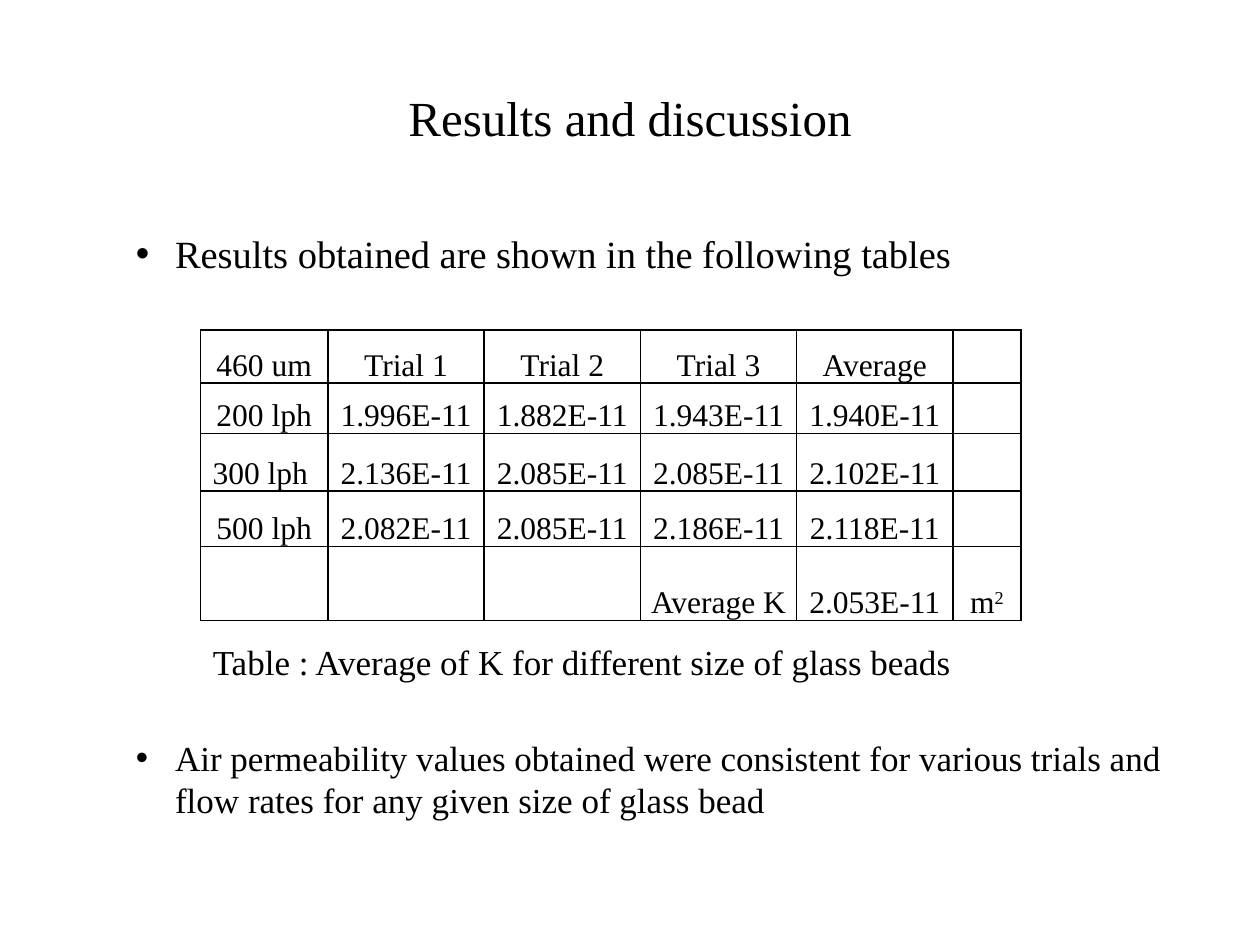
"""Build the results slide with the air permeability table."""
import lxml.etree
import pptx
import pptx.dml.color
import pptx.enum.text
import pptx.oxml.ns
import pptx.util
from pptx.util import Cm

BLACK = pptx.dml.color.RGBColor(0, 0, 0)
ALIGN = pptx.enum.text.PP_ALIGN
ANCHOR = pptx.enum.text.MSO_ANCHOR
TITLE_ONLY = 5
COLUMN_WIDTHS = [2.57] + [3.15] * 4 + [1.37]
ROW_HEIGHTS = [1.07, 1.02, 1.16, 1.12, 1.49]
PERMEABILITY = [
    ["460 um", "Trial 1", "Trial 2", "Trial 3", "Average", ""],
    ["200 lph", "1.996E-11", "1.882E-11", "1.943E-11", "1.940E-11", ""],
    ["300 lph ", "2.136E-11", "2.085E-11", "2.085E-11", "2.102E-11", ""],
    ["500 lph", "2.082E-11", "2.085E-11", "2.186E-11", "2.118E-11", ""],
    ["", "", "", "Average K", "2.053E-11", "m"],
]
CELL_FORMAT = {
    "vertical_anchor": ANCHOR.BOTTOM,
    "margin_left": Cm(0.03),
    "margin_right": Cm(0.03),
    "margin_top": Cm(0.03),
    "margin_bottom": 0,
}


def apply(target, values):
    for name, value in values.items():
        setattr(target, name, value)


def add_xml(parent, tag, **attributes):
    child = lxml.etree.SubElement(parent, pptx.oxml.ns.qn(tag))
    for name, value in attributes.items():
        child.set(name, str(value))
    return child


class SlideBuilder:
    def __init__(self, slide, font="Times New Roman", color=BLACK):
        self.slide = slide
        self.font = font
        self.color = color

    def add_wording(self, paragraph, wording, size, align=ALIGN.LEFT):
        paragraph.alignment = align
        run = paragraph.add_run()
        run.text = wording
        apply(run.font, {"name": self.font, "size": pptx.util.Pt(size)})
        run.font.color.rgb = self.color
        return run

    def title(self, wording, left, top, width, height):
        heading = self.slide.shapes.title
        apply(heading, {"left": Cm(left), "top": Cm(top),
                        "width": Cm(width), "height": Cm(height)})
        heading.text_frame.vertical_anchor = ANCHOR.MIDDLE
        self.add_wording(heading.text_frame.paragraphs[0], wording, 28, ALIGN.CENTER)

    def text(self, wording, left, top, width, height, size):
        box = self.slide.shapes.add_textbox(Cm(left), Cm(top), Cm(width), Cm(height))
        box.text_frame.word_wrap = True
        paragraph = box.text_frame.paragraphs[0]
        self.add_wording(paragraph, wording, size)
        return paragraph

    def bullet(self, *args):
        properties = self.text(*args)._p.get_or_add_pPr()
        properties.set("marL", str(Cm(0.79)))
        properties.set("indent", str(-Cm(0.79)))
        add_xml(properties, "a:buFont", typeface="Arial")
        add_xml(properties, "a:buChar", char="•")

    def borders(self, cell):
        properties = cell._tc.get_or_add_tcPr()
        for side in ("a:lnL", "a:lnR", "a:lnT", "a:lnB"):
            line = add_xml(properties, side, w=pptx.util.Pt(1))
            add_xml(add_xml(line, "a:solidFill"), "a:srgbClr", val=self.color)

    def table(self, rows, left, top, widths, heights, size):
        grid = self.slide.shapes.add_table(
            len(rows), len(widths), Cm(left), Cm(top), Cm(sum(widths)), Cm(sum(heights))
        ).table
        apply(grid, {"first_row": False, "horz_banding": False})
        for column, width in zip(grid.columns, widths):
            column.width = Cm(width)
        for row, height, wordings in zip(grid.rows, heights, rows):
            row.height = Cm(height)
            for cell, wording in zip(row.cells, wordings):
                apply(cell, CELL_FORMAT)
                self.borders(cell)
                cell.fill.background()
                if wording:
                    self.add_wording(cell.text_frame.paragraphs[0], wording, size, ALIGN.CENTER)
        return grid

    def superscript(self, cell, wording, size):
        run = self.add_wording(cell.text_frame.paragraphs[0], wording, size, ALIGN.CENTER)
        run._r.get_or_add_rPr().set("baseline", "30000")


def main():
    deck = pptx.Presentation()
    apply(deck, {"slide_width": Cm(25.4), "slide_height": Cm(19.05)})
    builder = SlideBuilder(deck.slides.add_slide(deck.slide_layouts[TITLE_ONLY]))
    builder.title("Results and discussion", 1.27, 0.76, 22.86, 3.18)
    results = builder.table(PERMEABILITY, 4.04, 6.65, COLUMN_WIDTHS, ROW_HEIGHTS, 18)
    builder.superscript(results.cell(4, 5), "2", 18)
    builder.text("Table : Average of K for different size of glass beads",
                 4.04, 12.78, 17.15, 1.12, 20)
    builder.bullet("Results obtained are shown in the following tables",
                   2.49, 4.52, 20.19, 2.13, 22)
    builder.bullet("Air permeability values obtained were consistent for various trials "
                   "and flow rates for any given size of glass bead",
                   2.49, 14.73, 21.21, 2.82, 20)
    deck.save("out.pptx")


if __name__ == "__main__":
    main()
